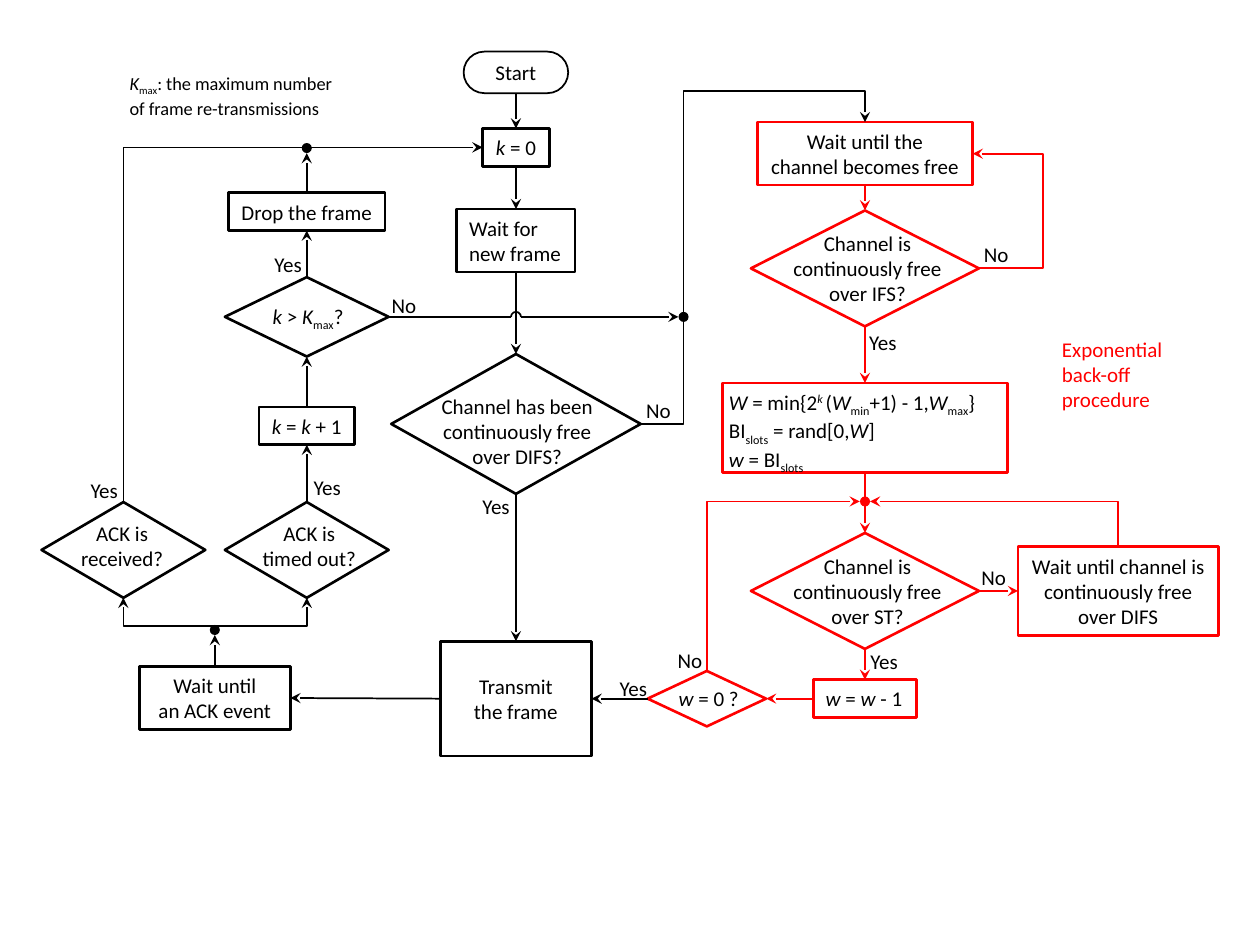
from dataclasses import dataclass
from typing import Optional

from lxml.etree import SubElement
from pptx import Presentation
from pptx.dml.color import RGBColor
from pptx.enum.shapes import MSO_CONNECTOR, MSO_SHAPE
from pptx.enum.text import MSO_ANCHOR, PP_ALIGN
from pptx.oxml.ns import qn
from pptx.util import Inches, Pt

COLUMNS, ROWS = 100, 75


@dataclass(frozen=True)
class Theme:
    ink: RGBColor = RGBColor(0x00, 0x00, 0x00)
    backoff: RGBColor = RGBColor(0xFF, 0x00, 0x00)
    font: str = "Calibri"
    body: float = 12
    note: float = 10.5
    outline: float = 1.5
    thin: float = 1


@dataclass(frozen=True)
class Run:
    text: str
    italic: bool = False
    baseline: int = 0


@dataclass(frozen=True)
class Box:
    """A centre and a size in grid columns and rows."""
    cx: float
    cy: float
    w: float
    h: float

    @property
    def top(self):
        return self.cx, self.cy - self.h / 2

    @property
    def bottom(self):
        return self.cx, self.cy + self.h / 2

    @property
    def left(self):
        return self.cx - self.w / 2, self.cy

    @property
    def right(self):
        return self.cx + self.w / 2, self.cy


@dataclass(frozen=True)
class Node:
    box: Box
    color: RGBColor
    kind: MSO_SHAPE = MSO_SHAPE.RECTANGLE
    paragraphs: tuple = ()
    align: PP_ALIGN = PP_ALIGN.CENTER
    anchor: MSO_ANCHOR = MSO_ANCHOR.MIDDLE


@dataclass(frozen=True)
class Caption:
    box: Box
    paragraphs: tuple
    align: PP_ALIGN = PP_ALIGN.CENTER
    color: Optional[RGBColor] = None
    size: Optional[float] = None


theme = Theme()
INK, RED = theme.ink, theme.backoff
DIAMOND = MSO_SHAPE.DIAMOND
LEFT = PP_ALIGN.LEFT

deck = Presentation()
deck.slide_width, deck.slide_height = Inches(10), Inches(7.5)
slide = deck.slides.add_slide(deck.slide_layouts[6])


def x(columns: float) -> int:
    return round(deck.slide_width * columns / COLUMNS)


def y(rows: float) -> int:
    return round(deck.slide_height * rows / ROWS)


def frame(box: Box) -> tuple:
    return x(box.left[0]), y(box.top[1]), x(box.w), y(box.h)


def var(text: str) -> Run:
    return Run(text, italic=True)


def sub(text: str) -> Run:
    return Run(text, baseline=-25000)


def write(text_frame, paragraphs: tuple, align: PP_ALIGN, color: RGBColor, size: float) -> None:
    """Fill a frame; each paragraph is a string or a tuple of strings and runs."""
    text_frame.word_wrap = False
    for index, content in enumerate(paragraphs):
        paragraph = text_frame.paragraphs[0] if index == 0 else text_frame.add_paragraph()
        paragraph.alignment = align
        font = paragraph.font
        font.name, font.size, font.color.rgb = theme.font, Pt(size), color
        for part in (content,) if isinstance(content, str) else content:
            piece = Run(part) if isinstance(part, str) else part
            for row, line in enumerate(piece.text.split("\n")):
                if row:
                    paragraph.add_line_break()
                run = paragraph.add_run()
                run.text = line
                if piece.italic:
                    run.font.italic = True
                if piece.baseline:
                    run.font._element.set("baseline", str(piece.baseline))


def draw_node(node: Node) -> None:
    shape = slide.shapes.add_shape(node.kind, *frame(node.box))
    shape.shadow.inherit = False
    shape.fill.background()
    shape.line.color.rgb, shape.line.width = node.color, Pt(theme.outline)
    if node.kind == MSO_SHAPE.ROUNDED_RECTANGLE:
        shape.adjustments[0] = 0.5
        shape.line.width = Pt(theme.thin)
    shape.text_frame.vertical_anchor = node.anchor
    if node.align == LEFT and node.anchor == MSO_ANCHOR.TOP:
        shape.text_frame.margin_left, shape.text_frame.margin_right = Inches(0.05), Inches(0.02)
    write(shape.text_frame, node.paragraphs, node.align, INK, theme.body)


def draw_caption(caption: Caption) -> None:
    text_frame = slide.shapes.add_textbox(*frame(caption.box)).text_frame
    write(text_frame, caption.paragraphs, caption.align,
          caption.color or INK, caption.size or theme.body)


def draw_dot(box: Box, color: RGBColor) -> None:
    dot = slide.shapes.add_shape(MSO_SHAPE.OVAL, *frame(box))
    dot.shadow.inherit = False
    dot.fill.solid()
    dot.fill.fore_color.rgb = color
    dot.line.fill.background()


def draw_link(start: tuple, end: tuple, color: RGBColor, arrow: Optional[str] = "tailEnd",
              bend: Optional[str] = None, shares: tuple = ()) -> None:
    """Draw a straight link, or an elbow with bends at shares of its extent."""
    style = MSO_CONNECTOR.ELBOW if bend else MSO_CONNECTOR.STRAIGHT
    link = slide.shapes.add_connector(style, x(start[0]), y(start[1]), x(end[0]), y(end[1]))
    link.line.color.rgb, link.line.width = color, Pt(theme.thin)
    properties = link._element.spPr
    if arrow:
        SubElement(link.line._get_or_add_ln(), qn("a:" + arrow), type="stealth")
    SubElement(properties, qn("a:effectLst"))
    if bend:
        geometry = properties.find(qn("a:prstGeom"))
        geometry.set("prst", bend)
        guides = geometry.find(qn("a:avLst"))
        for number, share in enumerate(shares, 1):
            SubElement(guides, qn("a:gd"), name=f"adj{number}", fmla=f"val {round(share * 100000)}")


def draw_hop(box: Box) -> None:
    """Draw the half circle where one line passes over another."""
    hop = slide.shapes.add_shape(MSO_SHAPE.ARC, *frame(box))
    hop.shadow.inherit = False
    hop.fill.background()
    hop.line.color.rgb, hop.line.width = INK, Pt(theme.thin)
    hop.adjustments[0], hop.adjustments[1] = 108, 0


MAIN, RETRY, BACKOFF = 40.95, 24.35, 68.65
start, reset = Box(MAIN, 5.75, 8.3, 3.3), Box(MAIN, 11.7, 5.3, 3)
new_frame, difs = Box(MAIN, 19.1, 9.4, 5), Box(MAIN, 33.65, 19.8, 11.1)
transmit, ack_event = Box(MAIN, 55.45, 12, 9.1), Box(17.05, 55.4, 12, 5)
received, timed_out = Box(9.8, 43.65, 13, 7.6), Box(RETRY, 43.65, 13, 7.6)
count, limit = Box(RETRY, 33.8, 7.6, 3), Box(RETRY, 25.15, 13, 6.3)
drop, wait_free = Box(RETRY, 16.8, 12.4, 3), Box(BACKOFF, 12.2, 17.1, 5)
ifs, window = Box(BACKOFF, 21.3, 18.1, 9.2), Box(BACKOFF, 33.95, 22.6, 7.1)
slot, decrement = Box(BACKOFF, 46.9, 18.1, 9.2), Box(BACKOFF, 55.45, 8.2, 3)
zero, wait_difs = Box(56.1, 55.45, 9.4, 4.4), Box(88.75, 46.9, 15.9, 7.1)
DOT = 0.8
retry_dot, busy_dot = Box(RETRY, 11.75, DOT, DOT), Box(54.25, limit.cy, DOT, DOT)
loop_dot, ack_dot = Box(BACKOFF, 39.8, DOT, DOT), Box(17.05, 50, DOT, DOT)
hop = Box(MAIN, limit.cy, DOT, DOT)

NODES = [
    Node(start, INK, MSO_SHAPE.ROUNDED_RECTANGLE, ("Start",)),
    Node(reset, INK, paragraphs=((var("k"), " = 0"),)),
    Node(new_frame, INK, paragraphs=("Wait for\nnew frame",), align=LEFT),
    Node(transmit, INK, paragraphs=("Transmit\nthe frame",)),
    Node(ack_event, INK, paragraphs=("Wait until\nan ACK event",)),
    Node(count, INK, paragraphs=((var("k"), " = ", var("k"), " + 1"),)),
    Node(drop, INK, paragraphs=("Drop the frame",)),
    Node(wait_free, RED, paragraphs=("Wait until the\nchannel becomes free",)),
    Node(wait_difs, RED, paragraphs=("Wait until channel is\ncontinuously free\nover DIFS",)),
    Node(decrement, RED, paragraphs=((var("w"), " = ", var("w "), "- 1"),), align=LEFT),
    Node(window, RED, paragraphs=(
        (var("W"), " = min{2", Run("k ", True, 30000), "(", var("W"), sub("min"), "+1) - 1,",
         var("W"), sub("max"), "}"),
        ("BI", sub("slots"), " = rand[0,", var("W"), "]"),
        (var("w"), " = BI", sub("slots"))), align=LEFT, anchor=MSO_ANCHOR.TOP),
    *(Node(box, INK, DIAMOND) for box in (difs, received, timed_out, limit)),
    *(Node(box, RED, DIAMOND) for box in (ifs, slot, zero)),
]

CAPTIONS = [
    Caption(Box(41.05, 34.25, 14.1, 7.1), ("Channel has been\ncontinuously free\nover DIFS?",)),
    Caption(Box(9.7, 43.3, 8.6, 5), ("ACK is\nreceived?",)),
    Caption(Box(24.55, 43.3, 9.5, 5), ("ACK is\ntimed out?",)),
    Caption(Box(24.45, 25.1, 7.9, 3), ((var("k"), " > ", var("K"), sub("max"), "?"),)),
    Caption(Box(68.85, 21.35, 14.1, 7.1), ("Channel is\ncontinuously free\nover IFS?",)),
    Caption(Box(68.85, 46.95, 14.1, 7.1), ("Channel is\ncontinuously free\nover ST?",)),
    Caption(Box(56.25, 55.4, 6.9, 3), ((var("w"), " = 0 ?"),)),
    Caption(Box(20.4, 7.45, 22.2, 4.5),
            ((var("K"), sub("max"), ": the maximum number\nof frame re-transmissions"),),
            LEFT, size=theme.note),
    Caption(Box(88.35, 29.75, 10.1, 7.1), ("Exponential", "back-off", "procedure"), LEFT, RED),
    *(Caption(Box(cx, cy, 4, 3), ("No",), LEFT) for cx, cy in (
        (52.3, 32.6), (79.1, 20.2), (32.1, 24.2), (78.9, 45.8), (54.8, 52.4))),
    *(Caption(Box(cx, cy, 4.2, 3), ("Yes",), LEFT) for cx, cy in (
        (39.4, 40.2), (70.1, 27.2), (70.2, 52.5), (50.3, 54.6),
        (22.9, 21), (26, 38.7), (8.3, 38.9))),
]

BLACK_ARROWS = [
    (start.bottom, reset.top), (reset.bottom, new_frame.top), (new_frame.bottom, difs.top),
    (difs.bottom, transmit.top), (transmit.left, ack_event.right), (ack_event.top, ack_dot.bottom),
    (timed_out.top, count.bottom), (count.top, limit.bottom), (limit.top, drop.bottom),
    (drop.top, retry_dot.bottom), (hop.right, busy_dot.left), (zero.left, transmit.right),
]
RED_ARROWS = [
    (wait_free.bottom, ifs.top), (ifs.bottom, window.top), (window.bottom, slot.top),
    (slot.bottom, decrement.top), (slot.right, wait_difs.left), (decrement.left, zero.right),
]
CORNERS = [
    (reset.left, received.top, INK, "headEnd"),
    (loop_dot.right, wait_difs.top, RED, "headEnd"),
    (loop_dot.left, zero.top, RED, "headEnd"),
    ((ack_dot.cx, 49.7), received.bottom, INK, "tailEnd"),
    ((ack_dot.cx, 49.7), timed_out.bottom, INK, "tailEnd"),
]


def share(via: float, begin: float, end: float) -> float:
    return (via - begin) / (end - begin)


for node in NODES:
    draw_node(node)
for color, arrows in ((INK, BLACK_ARROWS), (RED, RED_ARROWS)):
    for begin, end in arrows:
        draw_link(begin, end, color)
draw_link(limit.right, hop.left, INK, arrow=None)
draw_hop(hop)
for begin, end, color, arrow in CORNERS:
    draw_link(begin, end, color, arrow, "bentConnector2")
draw_link(ifs.right, wait_free.right, RED, bend="bentConnector3",
          shares=(share(82.8, ifs.right[0], wait_free.right[0]),))
draw_link(difs.right, wait_free.top, INK, bend="bentConnector4",
          shares=(share(busy_dot.cx, difs.right[0], BACKOFF),
                  share(7.2, difs.cy, wait_free.top[1])))
for box in (retry_dot, busy_dot, ack_dot):
    draw_dot(box, INK)
draw_dot(loop_dot, RED)
for caption in CAPTIONS:
    draw_caption(caption)

deck.save("out.pptx")
